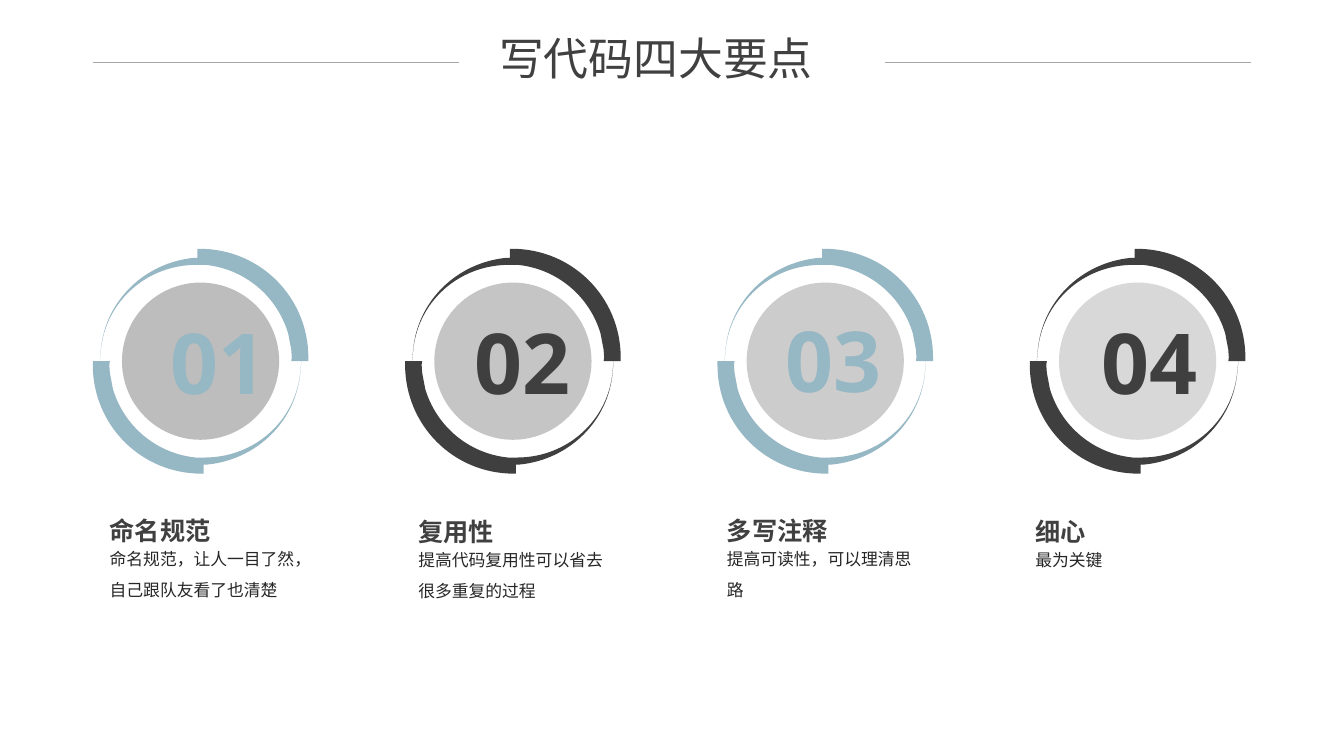
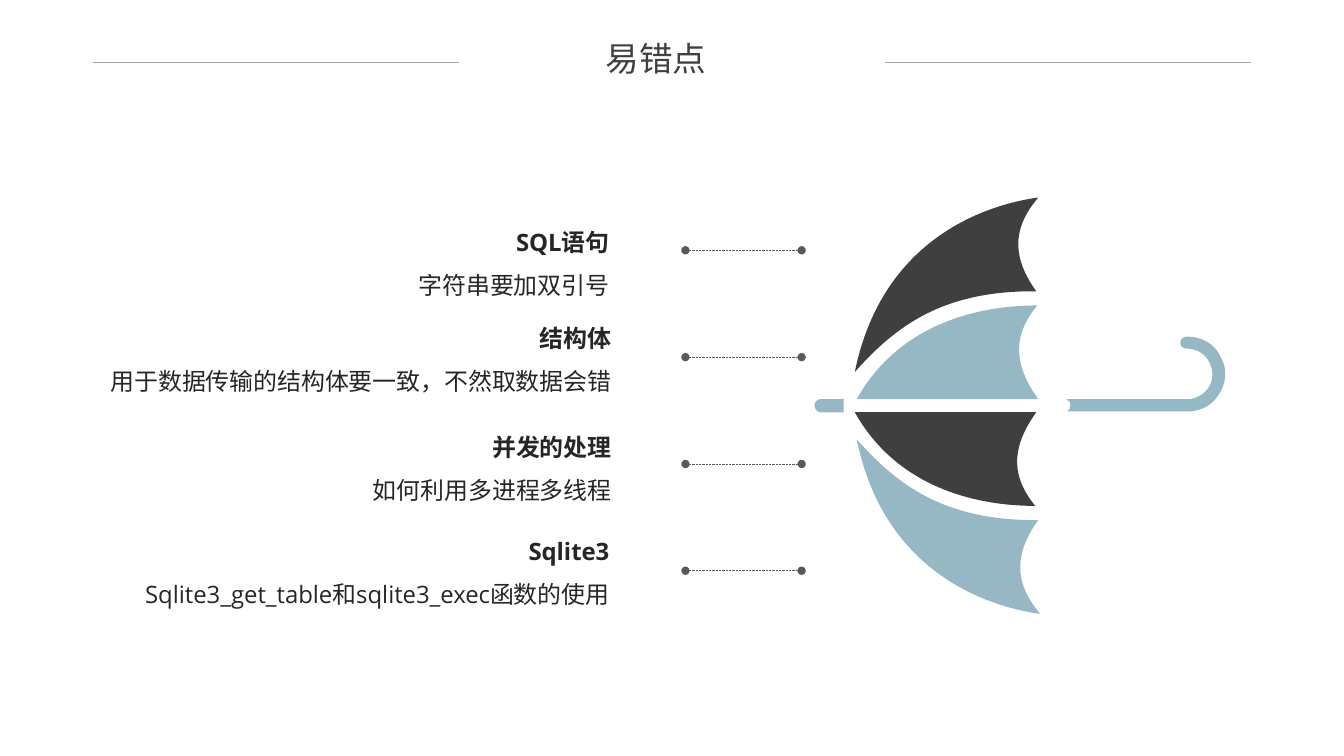
from dataclasses import dataclass

from pptx import Presentation
from pptx.dml.color import RGBColor
from pptx.enum.dml import MSO_LINE
from pptx.enum.shapes import MSO_CONNECTOR, MSO_SHAPE
from pptx.enum.text import MSO_ANCHOR, MSO_AUTO_SIZE, PP_ALIGN
from pptx.oxml.ns import qn
from pptx.util import Pt
from lxml.etree import SubElement


@dataclass(frozen=True)
class Theme:
    font: str = "Open Sans"
    blue: str = "96B7C4"
    dark: str = "3F3F3F"
    heading: str = "404040"
    body: str = "262626"
    rule: str = "A6A6A6"
    leader: str = "595959"
    number_size: float = 60
    heading_size: float = 18
    body_size: float = 12
    pitfall_size: float = 17.1


THEME = Theme()
LINE_SPACING = 1.5

# Content
KEY_POINTS_TITLE = ("写代码四大要点", 32, 41)  # text, size, middle of the title
PITFALLS_TITLE = ("易错点", 24, 41.4)
KEY_POINTS = [  # number, its left and top, ring colour, disc colour, heading, text
    ("01", 114.9, 218, THEME.blue, "262626", "命名规范", "命名规范，让人一目了然，自己跟队友看了也清楚"),
    ("02", 331.9, 218, THEME.dark, "404040", "复用性", "提高代码复用性可以省去很多重复的过程"),
    ("03", 554.2, 217, THEME.blue, "595959", "多写注释", "提高可读性，可以理清思路"),
    ("04", 779.8, 218, THEME.dark, "7F7F7F", "细心", "最为关键"),
]
PITFALLS = [  # top, right edge, heading, text
    (147.9, 444.7, "SQL语句", "字符串要加双引号"),
    (216.3, 446.2, "结构体", "用于数据传输的结构体要一致，不然取数据会错"),
    (294.6, 446.2, "并发的处理", "如何利用多进程多线程"),
    (368.7, 444.7, "Sqlite3", "Sqlite3_get_table和sqlite3_exec函数的使用"),
]

# Outlines: a pair is a straight step, six numbers are a Bézier step
HALF_RING = [  # around the ring's centre
    (-0.7, -80.3), (42.5, -80.3, 77, -45.7, 77, -2.5), (77, 0), (64.8, 0),
    (65.2, -2.5), (64.8, -8.3), (62.6, -19.8),
    (54.7, -46.4, 31.7, -65.9, 3.6, -68.8), (-2.9, -68.8),
    (-38.9, -68.8, -68.4, -42.1, -71.3, -6.8), (-72, 0), (-71.3, -7.6),
    (-68.4, -42.8, -40.3, -70.2, -5, -73.8), (-2.2, -73.8), (-2.2, -80.3),
]
OUTER_PANEL = [
    (610.6, 265.7), (629.3, 173.5, 699.8, 146.9, 741.6, 141.1),
    (721.4, 164.9, 724.3, 185.8, 740.2, 208.1),
    (673.2, 207.4, 639.4, 233.3, 610.6, 265.7),
]
INNER_PANEL = [
    (612, 285.1), (642.2, 231.1, 699.1, 218.2, 740.9, 218.2),
    (721.4, 241.9, 725.8, 262.8, 741.6, 285.1),
]
TIP = [
    (586.1, 285.1), (602.6, 285.1), (602.6, 294.5), (586.1, 294.5),
    (583.9, 294.5, 581.8, 292.3, 581.8, 289.4),
    (581.8, 287.3, 583.9, 285.1, 586.1, 285.1),
]
HANDLE = [
    (848.2, 240.5), (858.2, 240.5, 867.6, 245.5, 871.9, 254.9),
    (877, 263.5, 876.2, 274.3, 869.8, 283), (865.4, 289.4, 859, 293, 851, 293.8),
    (762.5, 293.8), (763.9, 293, 764.6, 291.6, 764.6, 289.4),
    (764.6, 288, 763.9, 285.8, 761.8, 285.1), (850.3, 285.1),
    (855.4, 284.4, 859.7, 281.5, 862.6, 277.9),
    (866.9, 272.2, 866.9, 265, 864, 259.2),
    (861.1, 252.7, 854.6, 249.1, 848.2, 249.1),
    (845.3, 249.1, 843.1, 247.7, 843.1, 244.8),
    (843.1, 241.9, 845.3, 240.5, 848.2, 240.5),
]


def color(value):
    return RGBColor.from_string(value)


# Text
def write(frame, text, size, ink, bold=False, align=PP_ALIGN.LEFT, spacing=None, first=True):
    paragraph = frame.paragraphs[0] if first else frame.add_paragraph()
    paragraph.alignment = align
    if spacing:
        paragraph.line_spacing = spacing
    run = paragraph.add_run()
    run.text = text
    run.font.name = THEME.font
    run.font.size = Pt(size)
    run.font.bold = bold
    run.font.color.rgb = color(ink)
    SubElement(run.font._element, qn("a:ea"), typeface=THEME.font)


def add_frame(slide, left, top, width, height, margins=(7.2, 3.6), wrap=True):
    box = slide.shapes.add_textbox(Pt(left), Pt(top), Pt(width), Pt(height))
    frame = box.text_frame
    frame.word_wrap = wrap
    frame.margin_left = frame.margin_right = Pt(margins[0])
    frame.margin_top = frame.margin_bottom = Pt(margins[1])
    return frame


# Shapes and lines
def paint(shape, fill, alpha=None):
    shape.shadow.inherit = False
    shape.fill.solid()
    shape.fill.fore_color.rgb = color(fill)
    shape.line.fill.background()
    if alpha:
        solid = shape._element.spPr.find(qn("a:solidFill"))
        SubElement(solid[0], qn("a:alpha"), val=str(alpha * 1000))


def sample(steps, count=24):
    """Points along the steps, which give the extent of the outline."""
    points = list(steps[0])
    for step in steps[1:]:
        if len(step) == 1:
            points += step
            continue
        corners = (points[-1], *step)
        for index in range(1, count + 1):
            t = index / count
            weights = ((1 - t) ** 3, 3 * t * (1 - t) ** 2, 3 * t * t * (1 - t), t ** 3)
            points.append(tuple(int(sum(w * corner[axis] for w, corner in zip(weights, corners)))
                                for axis in (0, 1)))
    return points


def add_outline(slide, outline, fill, origin=(0, 0), flip=(1, 1)):
    steps = [[(Pt(origin[0] + flip[0] * x), Pt(origin[1] + flip[1] * y))
              for x, y in zip(step[::2], step[1::2])] for step in outline]
    points = sample(steps)
    builder = slide.shapes.build_freeform(*points[0])
    builder.add_line_segments(points[1:], close=True)
    shape = builder.convert_to_shape()
    # Exact curves take the place of the sampled points
    drawing = next(shape._element.iter(qn("a:path")))
    for child in list(drawing):
        drawing.remove(child)
    for index, step in enumerate(steps):
        tag = "a:moveTo" if index == 0 else "a:lnTo" if len(step) == 1 else "a:cubicBezTo"
        segment = SubElement(drawing, qn(tag))
        for x, y in step:
            SubElement(segment, qn("a:pt"), x=str(x - shape.left), y=str(y - shape.top))
    SubElement(drawing, qn("a:close"))
    paint(shape, fill)


def add_line(slide, start, end, y, ink, dotted=False):
    line = slide.shapes.add_connector(MSO_CONNECTOR.STRAIGHT, Pt(start), Pt(y), Pt(end), Pt(y))
    line.line.color.rgb = color(ink)
    line.line.width = Pt(0.5)
    properties = line._element.spPr
    if dotted:
        line.line.dash_style = MSO_LINE.ROUND_DOT
        for end_name in ("a:headEnd", "a:tailEnd"):
            SubElement(properties.find(qn("a:ln")), qn(end_name), type="oval")
    SubElement(properties, qn("a:effectLst"))


# Shared slide header
def add_titled_slide(presentation, text, size, middle):
    slide = presentation.slides.add_slide(presentation.slide_layouts[5])
    title = slide.shapes.title
    height = size * 1.2
    title.left, title.top = Pt(321.4), Pt(middle - height / 2)
    title.width, title.height = Pt(294.5), Pt(height)
    frame = title.text_frame
    frame.auto_size = MSO_AUTO_SIZE.NONE
    frame.vertical_anchor = MSO_ANCHOR.MIDDLE
    frame.margin_left = frame.margin_right = frame.margin_top = frame.margin_bottom = 0
    write(frame, text, size, THEME.heading, align=PP_ALIGN.CENTER)
    for start in (66.2, 632.2):
        add_line(slide, start, start + 261.4, 44.4, THEME.rule)
    return slide


def add_key_points(presentation):
    slide = add_titled_slide(presentation, *KEY_POINTS_TITLE)
    disc_size, center_y = 112.3, 258
    for index, point in enumerate(KEY_POINTS):
        number, number_left, number_top, ring, disc_fill, heading, text = point
        # Ring: one half and the same half turned around
        center = (143.3 + index * 223.1, center_y)
        for turn in (1, -1):
            add_outline(slide, HALF_RING, ring, center, (turn, turn))
        disc = slide.shapes.add_shape(
            MSO_SHAPE.OVAL, Pt(center[0] - disc_size / 2), Pt(center_y - disc_size / 2),
            Pt(disc_size), Pt(disc_size))
        paint(disc, disc_fill, alpha=30)
        frame = add_frame(slide, number_left, number_top, 85, 80, wrap=False)
        write(frame, number, THEME.number_size, ring, bold=True)
        # Caption: every second one sits slightly lower
        left, drop = 71.3 + index * 220.4, index % 2 * 0.6
        frame = add_frame(slide, left, 381.5 + drop, 155.5, 48)
        write(frame, text, THEME.body_size, THEME.body, spacing=LINE_SPACING)
        frame = add_frame(slide, left, 353.7 + drop, 155.5, 36.7)
        write(frame, heading, THEME.heading_size, THEME.heading, bold=True, spacing=LINE_SPACING)


def add_pitfalls(presentation):
    slide = add_titled_slide(presentation, *PITFALLS_TITLE)
    # Umbrella: the lower panels mirror the upper ones
    mirror_y, shift = 289.8, 1.4
    for panel, upper, lower, offset in ((OUTER_PANEL, THEME.dark, THEME.blue, shift),
                                        (INNER_PANEL, THEME.blue, THEME.dark, -shift)):
        add_outline(slide, panel, upper)
        add_outline(slide, panel, lower, (offset, 2 * mirror_y), (1, -1))
    for part in (TIP, HANDLE):
        add_outline(slide, part, THEME.blue)
    # Notes with dotted leaders
    left = 36
    for index, (top, right, heading, text) in enumerate(PITFALLS):
        add_line(slide, 572.6, 489.6, 178.8 + index * 76.3, THEME.leader, dotted=True)
        frame = add_frame(slide, left, top, right - left, 67.7, margins=(9.4, 4.3))
        for row, line in enumerate((heading, text)):
            write(frame, line, THEME.pitfall_size, THEME.body, bold=row == 0,
                  align=PP_ALIGN.RIGHT, spacing=LINE_SPACING, first=row == 0)


def main():
    presentation = Presentation()
    presentation.slide_width, presentation.slide_height = Pt(960), Pt(540)
    add_key_points(presentation)
    add_pitfalls(presentation)
    presentation.save("out.pptx")


if __name__ == "__main__":
    main()
